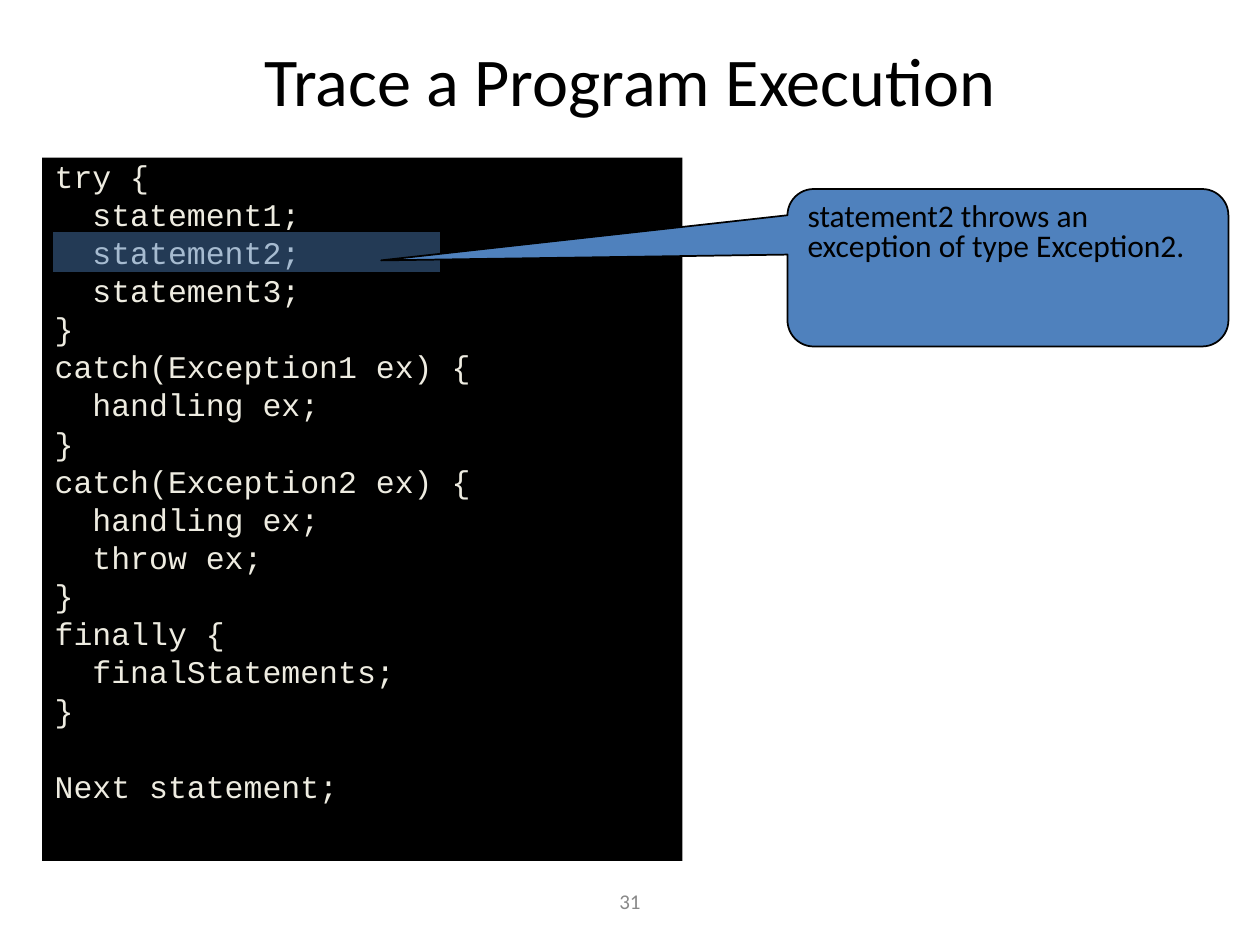
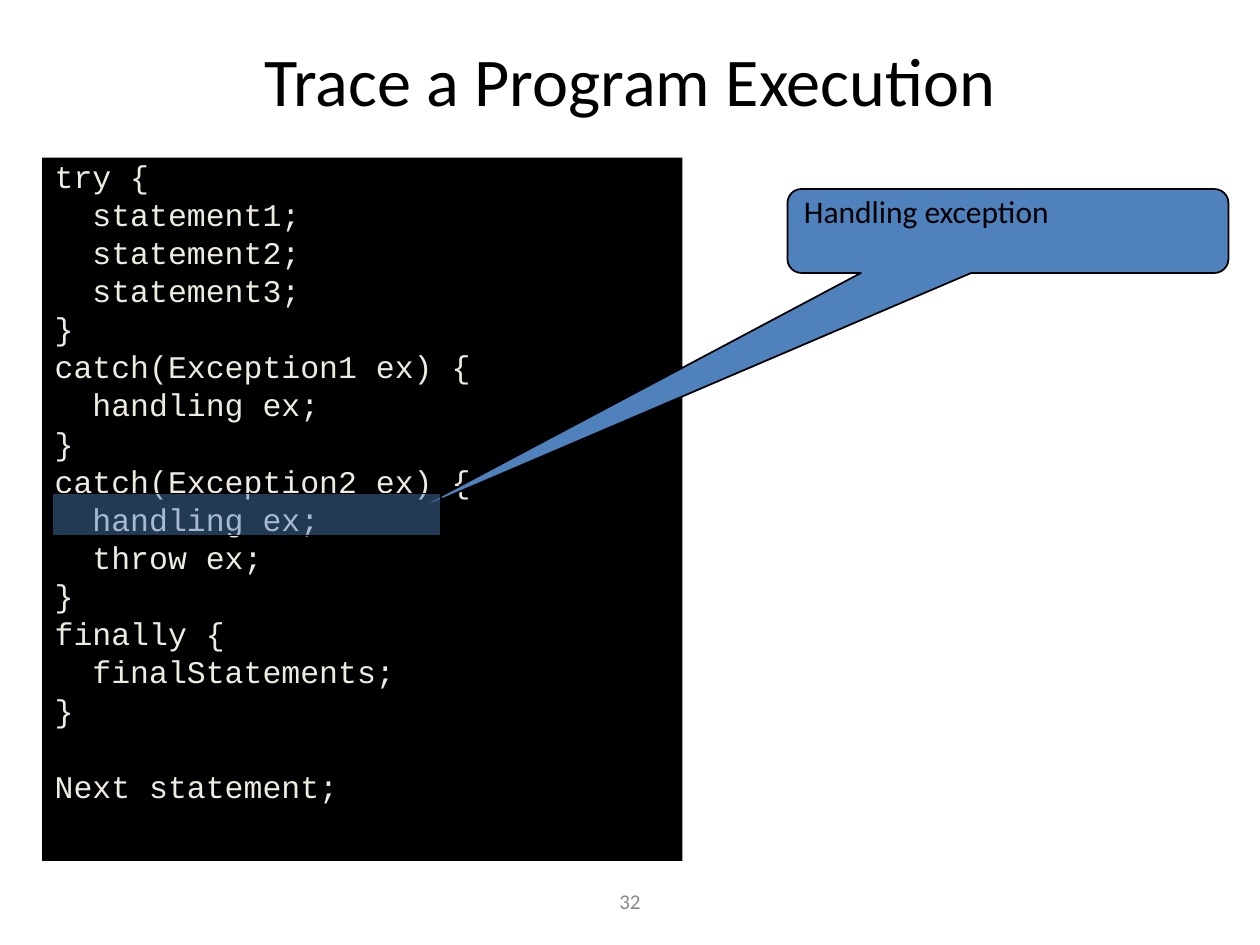
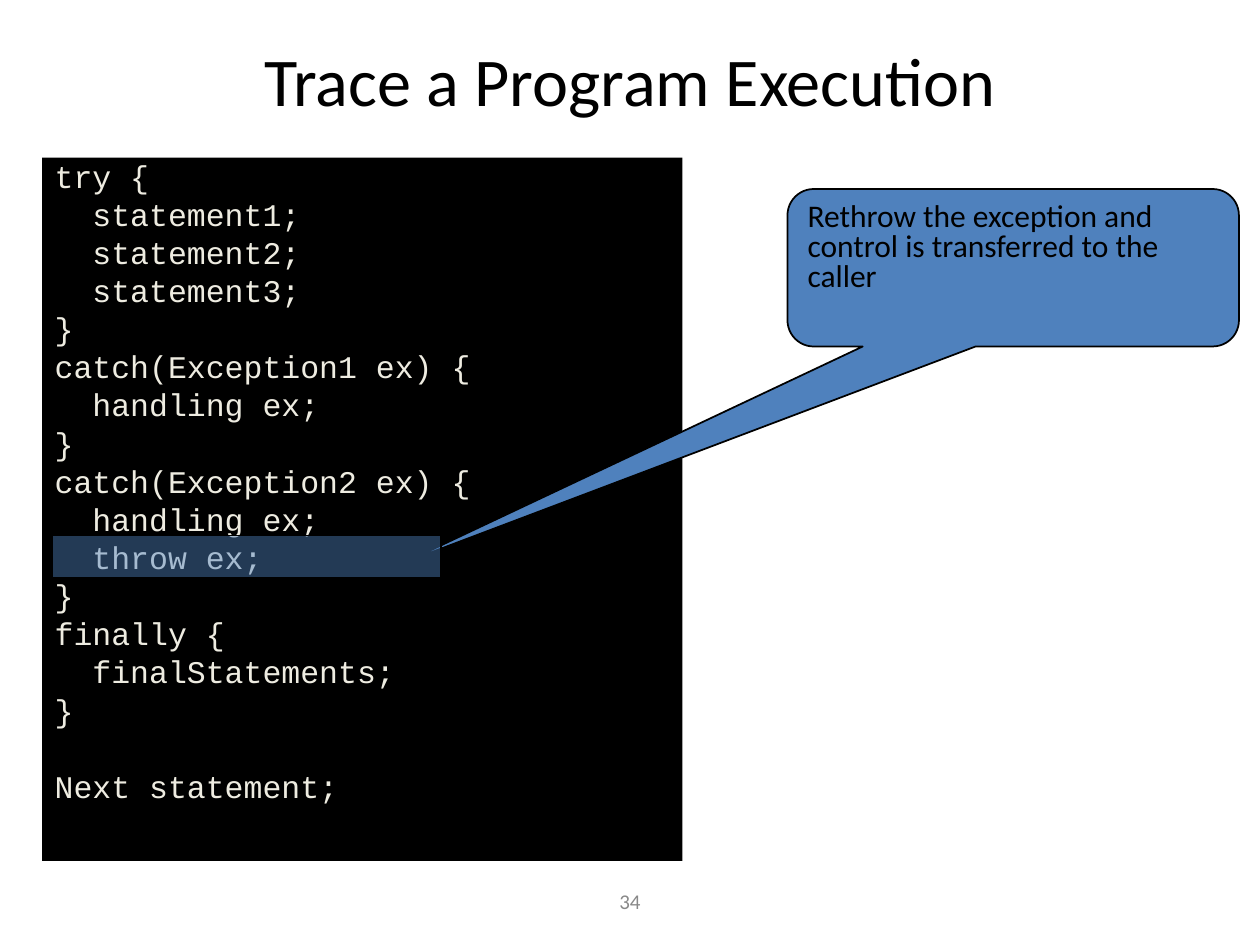
import pptx
import pptx.dml.color
import pptx.enum.shapes
import pptx.enum.text
import pptx.oxml
import pptx.oxml.ns
import pptx.util

RGB = pptx.dml.color.RGBColor
Pt = pptx.util.Pt
Kind = pptx.enum.shapes.MSO_SHAPE
Align = pptx.enum.text.PP_ALIGN
Anchor = pptx.enum.text.MSO_ANCHOR
Fit = pptx.enum.text.MSO_AUTO_SIZE

BLACK = RGB(0x00, 0x00, 0x00)
BLUE = RGB(0x4F, 0x81, 0xBD)
CREAM = RGB(0xEE, 0xEC, 0xE1)
GRAY = RGB(0x89, 0x89, 0x89)
SANS, MONO = "Calibri", "Courier New"

COLS, ROWS = 120, 90
WIDE, HIGH = pptx.util.Inches(10), pptx.util.Inches(7.5)

HEAD = (9, 4, 102, 7)
CODE = (4, 15, 61, 67)
FOOT = (41, 83.4, 38, 4.8)
BAR = (5, 37, 4)

TITLE = "Trace a Program Execution"
LINES = [
    (0, "try {"), (1, "statement1;"), (1, "statement2;"),
    (1, "statement3;"), (0, "}"),
    (0, "catch(Exception1 ex) {"), (1, "handling ex;"), (0, "}"),
    (0, "catch(Exception2 ex) {"), (1, "handling ex;"),
    (1, "throw ex;"), (0, "}"),
    (0, "finally {"), (1, "finalStatements;"), (0, "}"),
    (0, "Next statement;"),
]
HANG, STEP = Pt(27), Pt(21.6)
LEAD, GAP = Pt(4.5), Pt(26.3)

STEPS = [
    ("31", 22, (75, 18, 42, 15), (36.3, 24.8), False,
     "statement2 throws an exception of type Exception2."),
    ("32", 47, (75, 18, 42, 8), (38.7, 49), True,
     "Handling exception"),
    ("34", 51, (75, 18, 43, 15), (38.7, 53.5), True,
     "Rethrow the exception and control is transferred to the caller"),
]


def area(box):
    """Turn a grid box into left, top, width and height."""
    x, y, w, h = box
    return (round(x * WIDE / COLS), round(y * HIGH / ROWS),
            round(w * WIDE / COLS), round(h * HIGH / ROWS))


def place(shape, box):
    """Move a shape onto a grid box."""
    shape.left, shape.top, shape.width, shape.height = area(box)


def style(para, size, face, color, align=Align.LEFT):
    """Format a paragraph and its runs."""
    para.alignment = align
    for run in para.runs:
        run.font.size = Pt(size)
        run.font.name = face
        run.font.color.rgb = color


def tight(para, before=LEAD):
    """Set the close line spacing of code and notes."""
    para.line_spacing = 0.8
    para.space_before = before


def paint(shape):
    """Give a shape the blue fill and the thin black line."""
    shape.shadow.inherit = False
    shape.fill.solid()
    shape.fill.fore_color.rgb = BLUE
    shape.line.color.rgb = BLACK
    shape.line.width = Pt(1)


def head(slide, box):
    """Fill the title placeholder."""
    shape = slide.shapes.title
    place(shape, box)
    frame = shape.text_frame
    frame.text = TITLE
    frame.auto_size = Fit.NONE
    frame.vertical_anchor = Anchor.MIDDLE
    style(frame.paragraphs[0], 39, SANS, BLACK, Align.CENTER)


def code(slide, box):
    """Fill the body placeholder with the listing."""
    shape = slide.placeholders[1]
    place(shape, box)
    shape.fill.solid()
    shape.fill.fore_color.rgb = BLACK
    frame = shape.text_frame
    frame.text = "\n".join(text for depth, text in LINES)
    frame.auto_size = Fit.NONE
    frame.vertical_anchor = Anchor.TOP
    for para, (depth, text) in zip(frame.paragraphs, LINES):
        style(para, 18, MONO, CREAM)
        tight(para, GAP if text == LINES[-1][1] else LEAD)
        props = para._p.get_or_add_pPr()
        props.set("marL", str(HANG + depth * STEP))
        props.set("indent", str(-HANG))
        props.append(pptx.oxml.parse_xml(
            "<a:buNone %s/>" % pptx.oxml.ns.nsdecls("a")))


def mark(slide, box):
    """Lay a see-through bar over the current line."""
    shape = slide.shapes.add_shape(Kind.RECTANGLE, *area(box))
    paint(shape)
    fill = shape._element.spPr.find(pptx.oxml.ns.qn("a:solidFill"))
    fill[0].append(pptx.oxml.parse_xml(
        '<a:alpha %s val="45000"/>' % pptx.oxml.ns.nsdecls("a")))


def note(slide, box, tip, text):
    """Draw a callout in the box that points at the tip."""
    shape = slide.shapes.add_shape(
        Kind.ROUNDED_RECTANGULAR_CALLOUT, *area(box))
    paint(shape)
    x, y, w, h = box
    shape.adjustments[0] = (tip[0] - x) / w - 0.5
    shape.adjustments[1] = (tip[1] - y) / h - 0.5
    shape.adjustments[2] = 0.167
    frame = shape.text_frame
    frame.text = text
    frame.word_wrap = True
    frame.vertical_anchor = Anchor.TOP
    style(frame.paragraphs[0], 18, SANS, BLACK)
    tight(frame.paragraphs[0])


def foot(slide, box, text):
    """Write the page number."""
    frame = slide.shapes.add_textbox(*area(box)).text_frame
    frame.text = text
    frame.word_wrap = True
    frame.vertical_anchor = Anchor.MIDDLE
    style(frame.paragraphs[0], 12, SANS, GRAY, Align.CENTER)


def trace(deck, page, row, box, tip, over, text):
    """Build one step, with the bar over or under the callout."""
    slide = deck.slides.add_slide(deck.slide_layouts[1])
    foot(slide, FOOT, page)
    head(slide, HEAD)
    code(slide, CODE)
    left, wide, high = BAR
    bar = (left, row, wide, high)
    if not over:
        mark(slide, bar)
    note(slide, box, tip, text)
    if over:
        mark(slide, bar)


def main():
    """Build and save the deck."""
    deck = pptx.Presentation()
    deck.slide_width, deck.slide_height = WIDE, HIGH
    for step in STEPS:
        trace(deck, *step)
    deck.save("out.pptx")


main()
